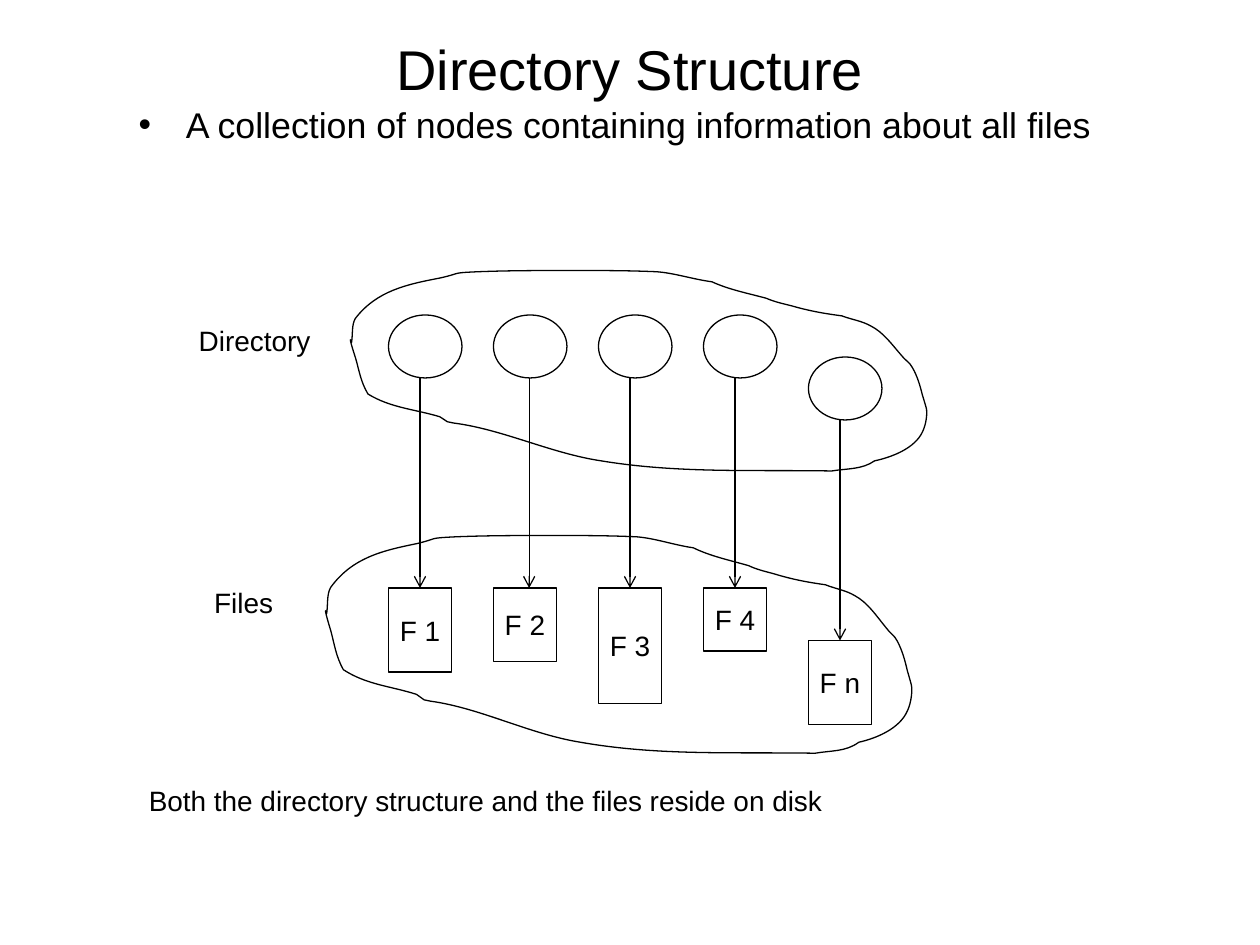
from dataclasses import dataclass
from itertools import chain

from lxml import etree
from pptx import Presentation
from pptx.dml.color import RGBColor
from pptx.enum import shapes, text
from pptx.oxml import ns
from pptx.util import Pt


@dataclass(frozen=True)
class Theme:
    ink: RGBColor = RGBColor(0, 0, 0)
    paper: RGBColor = RGBColor(255, 255, 255)
    font: str = "Arial"
    title: float = 32
    body: float = 20.4
    label: float = 16
    line: float = 0.75


@dataclass(frozen=True)
class Box:
    left: float
    top: float
    width: float
    height: float

    def inner(self, left, top, width, height):
        return Box(self.left + left, self.top + top, width, height)

    def lengths(self):
        return [Pt(value) for value in (self.left, self.top, self.width, self.height)]


THEME = Theme()

# Name, height of the file, drop of the node, drop of the file, arrow offset
FILES = [
    ("F 1", 48, 0, 0, 18),
    ("F 2", 42, 0, 0, 20.4),
    ("F 3", 66, 0, 0, 18),
    ("F 4", 36, 0, 0, 18),
    ("F n", 48, 24, 30, 18),
]

# Bezier outline on a 458 by 161 grid: start, then two controls and an end per curve
CLOUD_GRID = (458, 161)
CLOUD_START = (1, 57)
CLOUD_CURVES = [
    ((2, 50), (1, 43), (4, 38)), ((21, 16), (45, 11), (71, 6)),
    ((89, 2), (79, 2), (101, 1)), ((126, 0), (151, 0), (177, 0)),
    ((199, 0), (221, 0), (243, 1)), ((257, 2), (272, 7), (287, 9)),
    ((300, 15), (315, 18), (330, 22)), ((337, 25), (342, 26), (350, 28)),
    ((364, 32), (375, 34), (390, 36)), ((398, 39), (406, 40), (413, 44)),
    ((423, 49), (430, 59), (437, 67)), ((440, 71), (444, 73), (446, 77)),
    ((450, 84), (452, 91), (454, 99)), ((455, 102), (457, 109), (457, 109)),
    ((458, 113), (457, 122), (454, 128)), ((448, 141), (430, 148), (416, 151)),
    ((406, 158), (394, 157), (382, 159)), ((318, 158), (260, 161), (199, 151)),
    ((159, 145), (121, 126), (82, 121)), ((80, 121), (79, 120), (77, 120)),
    ((75, 119), (73, 117), (71, 116)), ((51, 110), (32, 109), (14, 98)),
    ((8, 88), (7, 79), (4, 69)), ((4, 69), (0, 57), (0, 55)),
    ((0, 54), (1, 56), (1, 57)),
]


def add_run(paragraph, words, size):
    run = paragraph.add_run()
    run.text = words
    run.font.name = THEME.font
    run.font.size = Pt(size)
    run.font.color.rgb = THEME.ink


def style_outline(shape, filled=True):
    shape.shadow.inherit = False
    if filled:
        shape.fill.solid()
        shape.fill.fore_color.rgb = THEME.paper
    else:
        shape.fill.background()
    shape.line.color.rgb = THEME.ink
    shape.line.width = Pt(THEME.line)


def fill_placeholder(placeholder, box, words, size, anchor, alignment):
    placeholder.left, placeholder.top, placeholder.width, placeholder.height = box.lengths()
    frame = placeholder.text_frame
    frame.auto_size = text.MSO_AUTO_SIZE.NONE
    frame.vertical_anchor = anchor
    paragraph = frame.paragraphs[0]
    paragraph.alignment = alignment
    paragraph.space_before = Pt(0)
    add_run(paragraph, words, size)
    return paragraph


def add_heading(slide, box):
    """Place the title and the bullet line below it."""
    fill_placeholder(
        slide.shapes.title, box.inner(0, 0, box.width, 45), "Directory Structure",
        THEME.title, text.MSO_ANCHOR.MIDDLE, text.PP_ALIGN.CENTER)
    paragraph = fill_placeholder(
        slide.placeholders[1], box.inner(36, 43.5, 580, 28),
        "A collection of nodes containing information about all files",
        THEME.body, text.MSO_ANCHOR.TOP, text.PP_ALIGN.LEFT)
    paragraph.line_spacing = 0.8
    properties = paragraph._p.get_or_add_pPr()
    properties.set("marL", str(Pt(27)))
    properties.set("indent", str(-Pt(27)))
    etree.SubElement(properties, ns.qn("a:buChar")).set("char", "•")


def add_label(slide, box, words, centred=True):
    frame = slide.shapes.add_textbox(*box.lengths()).text_frame
    frame.word_wrap = not centred
    paragraph = frame.paragraphs[0]
    if centred:
        frame.vertical_anchor = text.MSO_ANCHOR.MIDDLE
        paragraph.alignment = text.PP_ALIGN.CENTER
    add_run(paragraph, words, THEME.label)


def add_node(slide, box):
    style_outline(slide.shapes.add_shape(shapes.MSO_SHAPE.OVAL, *box.lengths()))


def add_file(slide, box, name):
    shape = slide.shapes.add_shape(shapes.MSO_SHAPE.RECTANGLE, *box.lengths())
    style_outline(shape)
    frame = shape.text_frame
    frame.word_wrap = False
    frame.vertical_anchor = text.MSO_ANCHOR.MIDDLE
    paragraph = frame.paragraphs[0]
    paragraph.alignment = text.PP_ALIGN.CENTER
    add_run(paragraph, name, THEME.label)


def add_arrow(slide, x, top, bottom):
    connector = slide.shapes.add_connector(
        shapes.MSO_CONNECTOR.STRAIGHT, Pt(x), Pt(top), Pt(x), Pt(bottom))
    connector.line.color.rgb = THEME.ink
    connector.line.width = Pt(THEME.line)
    etree.SubElement(connector.line._get_or_add_ln(), ns.qn("a:tailEnd")).set("type", "arrow")
    etree.SubElement(connector._element.spPr, ns.qn("a:effectLst"))


def curve_segments(shape):
    """Join every three straight segments into one Bezier curve."""
    segments = list(shape._element.iter(ns.qn("a:lnTo")))
    for first in range(0, len(segments), 3):
        curve, *others = segments[first:first + 3]
        curve.tag = ns.qn("a:cubicBezTo")
        for segment in others:
            curve.append(segment[0])
            segment.getparent().remove(segment)


def add_cloud(slide, box):
    columns, rows = CLOUD_GRID
    scale = (Pt(box.width) / columns, Pt(box.height) / rows)
    builder = slide.shapes.build_freeform(*CLOUD_START, scale=scale)
    builder.add_line_segments(chain.from_iterable(CLOUD_CURVES), close=True)
    shape = builder.convert_to_shape(Pt(box.left), Pt(box.top))
    curve_segments(shape)
    style_outline(shape, filled=False)


def add_diagram(slide, box):
    """Link each directory node to its file and ring both groups."""
    pitch, node_width, node_height, file_width = 60, 42, 36, 36
    for index, (name, height, node_drop, file_drop, offset) in enumerate(FILES):
        x = 116 + index * pitch
        node = box.inner(x, 26 + node_drop, node_width, node_height)
        file = box.inner(x, 182 + file_drop, file_width, height)
        add_node(slide, node)
        add_file(slide, file, name)
        add_arrow(slide, node.left + offset, node.top + node.height, file.top)
    add_cloud(slide, box.inner(94.2, 0.6, 329.8, 116))
    add_cloud(slide, box.inner(80, 152, 335.5, 126))
    add_label(slide, box.inner(0.5, 27, 78, 26.5), "Directory")
    add_label(slide, box.inner(9, 177, 48.5, 26.5), "Files")


def main():
    presentation = Presentation()
    presentation.slide_width, presentation.slide_height = Pt(720), Pt(540)
    slide = presentation.slides.add_slide(presentation.slide_layouts[1])
    add_heading(slide, Box(36, 16.5, 648, 72))
    add_diagram(slide, Box(106, 154, 424, 278))
    add_label(slide, Box(78, 444, 598, 30),
              "Both the directory structure and the files reside on disk", centred=False)
    presentation.save("out.pptx")


if __name__ == "__main__":
    main()
